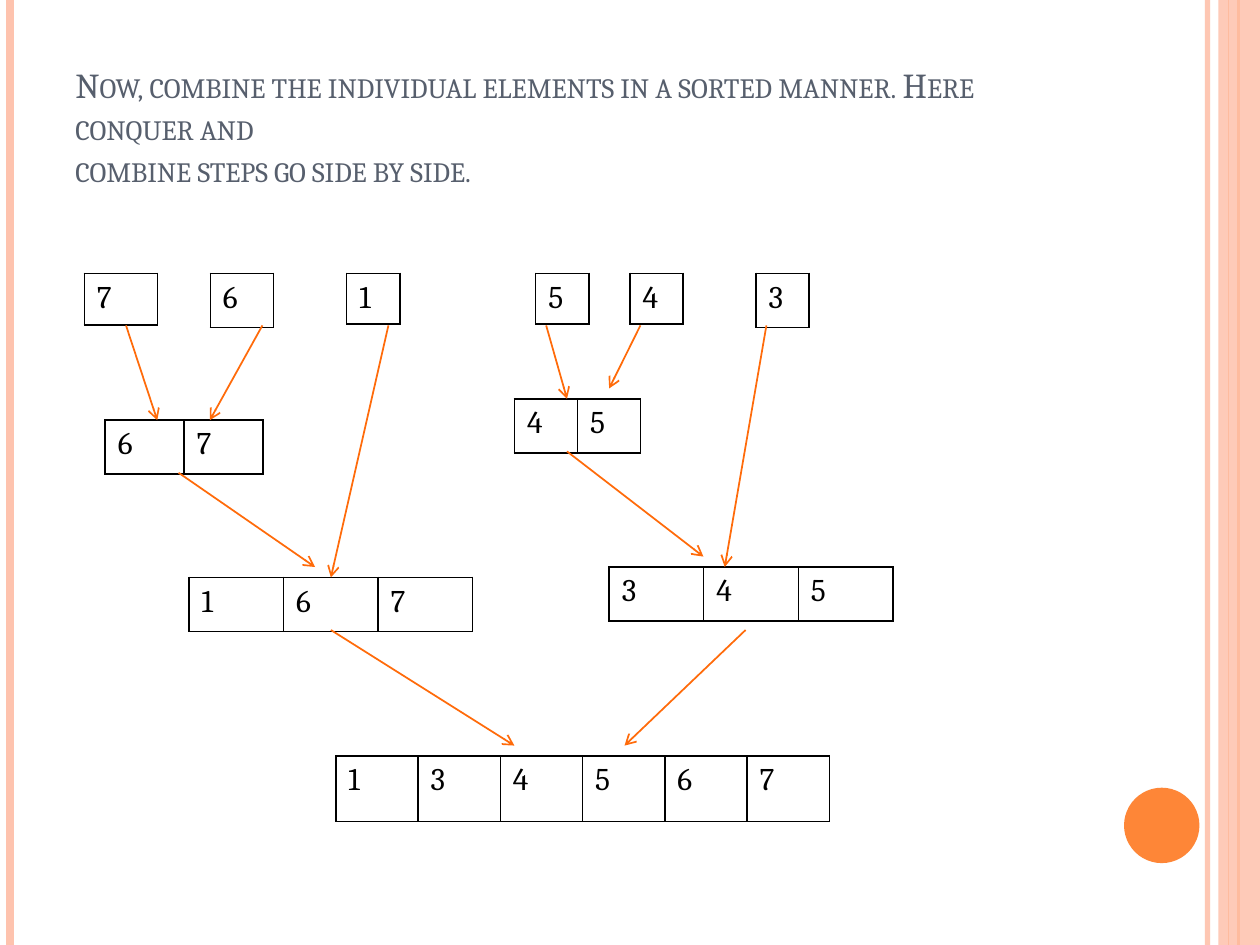
"""Build the merge sort slide that shows the conquer and combine steps."""
from lxml.etree import SubElement as Sub
from pptx import Presentation
from pptx.dml.color import RGBColor as Rgb
from pptx.enum.shapes import MSO_CONNECTOR as Link, MSO_SHAPE as Shape
from pptx.enum.text import MSO_ANCHOR as Anchor
from pptx.oxml.ns import qn
from pptx.util import Cm, Pt

HUES = {"peach": "FEC3AE", "orange": "FE8637", "arrow": "FF6B0A",
        "slate": "575F6D", "black": "000000"}
WIDE, HIGH = 25.4, 19.05

deck = Presentation()
deck.slide_width, deck.slide_height = Cm(WIDE), Cm(HIGH)
slide = deck.slides.add_slide(deck.slide_layouts[6])
shapes = slide.shapes


def draw(start, end, hue, width):
    line = shapes.add_connector(Link.STRAIGHT, *map(Cm, start + end))
    line.line.color.rgb = Rgb.from_string(HUES[hue])
    line.line.width = Pt(width)
    Sub(line._element.spPr, qn("a:effectLst"))
    return line.line._get_or_add_ln()


def style(run, size, hue):
    form = {"name": "Cambria", "size": Pt(size), "bold": False}
    for key, value in form.items():
        setattr(run.font, key, value)
    run.font.color.rgb = Rgb.from_string(HUES[hue])


bars = [(24.34, "peach", 3), (0.2, "peach", 4.5), (24.97, "orange", 1.5), (24.77, "orange", 0.75)]
for left, hue, width in bars:
    bar = draw((left, 0), (left, HIGH), hue, width)
    if width == 3:
        Sub(bar.find(".//" + qn("a:srgbClr")), qn("a:alpha"), val="93000")

forms = [(Shape.RECTANGLE, (24.56, 0, 0.84, HIGH), "peach", 87000),
         (Shape.OVAL, (22.66, 15.88, 1.52, 1.52), "orange", 100000)]
for kind, area, hue, alpha in forms:
    form = shapes.add_shape(kind, *map(Cm, area))
    form.shadow.inherit = False
    form.fill.solid()
    form.fill.fore_color.rgb = Rgb.from_string(HUES[hue])
    form.line.fill.background()
    Sub(form._element.spPr.find(".//" + qn("a:srgbClr")), qn("a:alpha"), val=str(alpha))

title = shapes.add_textbox(*map(Cm, (1.27, 0.76, 20.75, 3.18)))
frame = title.text_frame
frame.word_wrap = True
frame.vertical_anchor = Anchor.BOTTOM
frame.text = ("Now, combine the individual elements in a sorted manner. "
              "Here conquer and\vcombine steps go side by side.")
for run in frame.paragraphs[0].runs:
    style(run, 20, "slate")
    run._r.get_or_add_rPr().set("cap", "small")

lists = [("7", 1.7, 5.51, 1.47, 1.04), ("6", 4.24, 5.51, 1.27, 1.09),
         ("1", 6.99, 5.51, 1.07, 1), ("5", 10.8, 5.51, 1.07, 1),
         ("4", 12.7, 5.51, 1.07, 1), ("3", 15.24, 5.51, 1.07, 1.09),
         ("67", 2.12, 8.47, 3.18, 1.09), ("45", 10.37, 8.04, 2.54, 1.09),
         ("167", 3.81, 11.64, 5.72, 1.09), ("345", 12.28, 11.43, 5.72, 1.09),
         ("134567", 6.77, 15.24, 9.95, 1.32)]
for digits, *area in lists:
    table = shapes.add_table(1, len(digits), *map(Cm, area)).table
    table.first_row = table.horz_banding = False
    for cell, digit in zip(table.iter_cells(), digits):
        cell.text = digit
        style(cell.text_frame.paragraphs[0].runs[0], 18, "black")
        props = cell._tc.get_or_add_tcPr()
        for side in "LRTB":
            edge = Sub(props, qn(f"a:ln{side}"), w=str(Pt(1)))
            Sub(Sub(edge, qn("a:solidFill")), qn("a:srgbClr"), val=HUES["black"])
        cell.fill.background()

steps = [((2.54, 6.56), (3.17, 8.47)), ((5.29, 6.56), (4.23, 8.47)),
         ((7.83, 6.56), (6.67, 11.64)), ((3.6, 9.53), (6.35, 11.43)),
         ((6.67, 12.7), (10.37, 15.03)), ((11.01, 6.56), (11.43, 8.04)),
         ((12.91, 6.56), (12.28, 7.83)), ((15.45, 6.56), (14.61, 11.43)),
         ((11.43, 9.1), (14.18, 11.22)), ((15.03, 12.7), (12.59, 15.03))]
for start, end in steps:
    Sub(draw(start, end, "arrow", 1), qn("a:tailEnd"), type="arrow")

deck.save("out.pptx")
